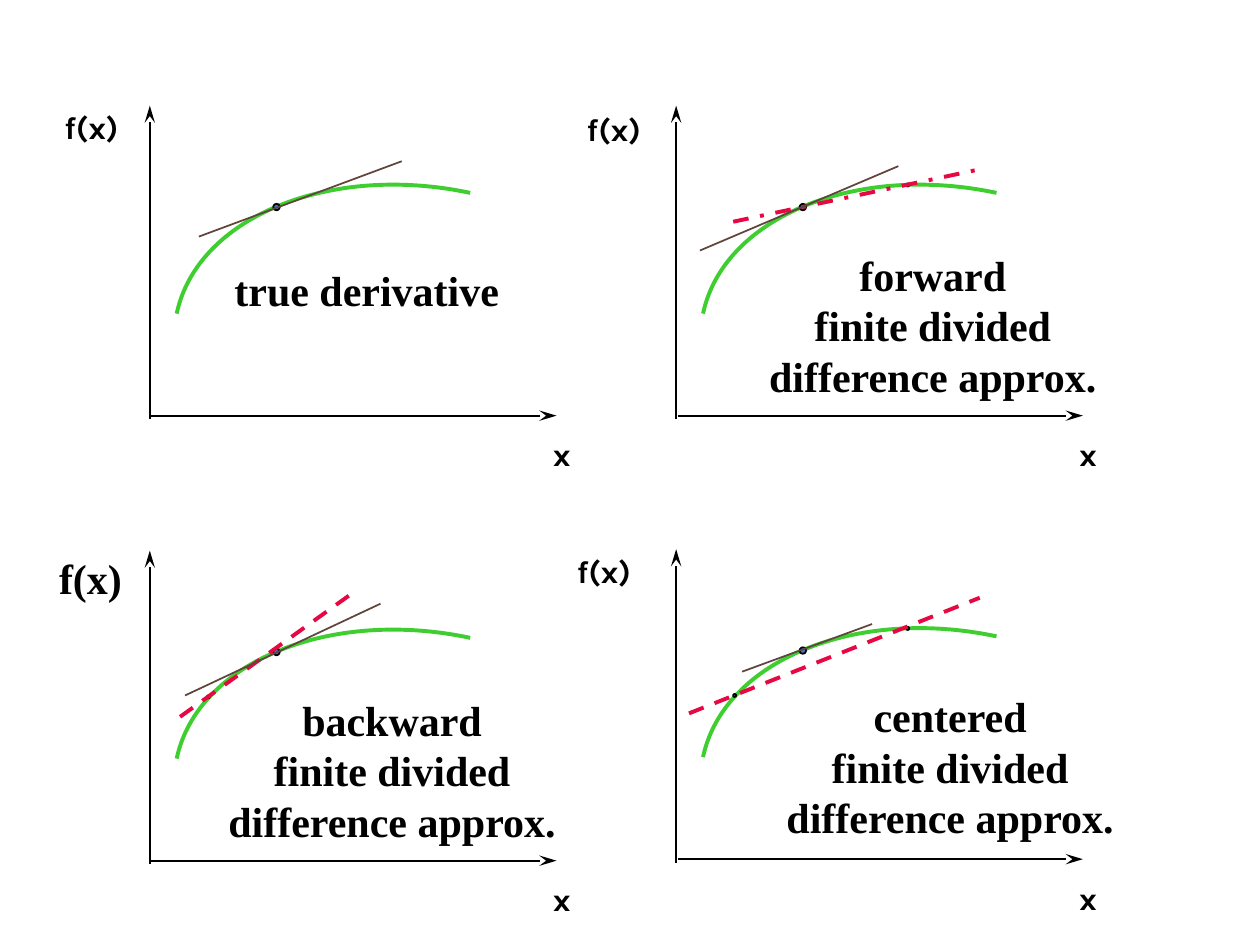
from dataclasses import dataclass

from lxml.etree import SubElement
from pptx import Presentation
from pptx.dml.color import RGBColor
from pptx.enum.dml import MSO_LINE
from pptx.enum.shapes import MSO_CONNECTOR, MSO_SHAPE
from pptx.enum.text import MSO_AUTO_SIZE, PP_ALIGN
from pptx.oxml.ns import qn
from pptx.util import Cm, Pt

BLACK = RGBColor(0x00, 0x00, 0x00)
GREEN = RGBColor(0x3F, 0xCE, 0x30)
BLUE = RGBColor(0x44, 0x72, 0xC4)
BROWN = RGBColor(0x60, 0x45, 0x3C)
RED = RGBColor(0xE7, 0x07, 0x42)

SANS = "Karla"
SERIF = "Times New Roman"
ARC_HANDLE = 0.55


def write_text(frame, text, *, font=SERIF, size=24, color=BLACK, bold=True,
               align=PP_ALIGN.CENTER):
    frame.text = text
    for paragraph in frame.paragraphs:
        paragraph.alignment = align
        paragraph.font.name = font
        paragraph.font.size = Pt(size)
        paragraph.font.bold = bold
        paragraph.font.color.rgb = color


def bend(freeform):
    """Turn the three straight segments of a freeform into one Bézier curve."""
    outline = next(freeform._element.iter(qn("a:path")))
    segments = outline.findall(qn("a:lnTo"))
    bezier = SubElement(outline, qn("a:cubicBezTo"))
    for segment in segments:
        bezier.append(segment[0])
        outline.remove(segment)


@dataclass
class Plotter:
    """Draws on a slide, in centimetres from the top of the y axis of a panel."""
    slide: object
    left: float = 0
    top: float = 0

    def at(self, x, y):
        return Cm(self.left + x), Cm(self.top + y)

    def line(self, start, end, color=BLACK, width=1, dash=None, arrow=False):
        connector = self.slide.shapes.add_connector(
            MSO_CONNECTOR.STRAIGHT, *self.at(*start), *self.at(*end))
        connector.line.color.rgb = color
        connector.line.width = Pt(width)
        if dash is not None:
            connector.line.dash_style = dash
        properties = connector._element.spPr
        if arrow:
            SubElement(properties.find(qn("a:ln")), qn("a:tailEnd"),
                       type="stealth", w="med", len="lg")
        SubElement(properties, qn("a:effectLst"))

    def dot(self, x, y, size):
        dot = self.slide.shapes.add_shape(
            MSO_SHAPE.OVAL, *self.at(x, y), Cm(size), Cm(size))
        dot.shadow.inherit = False
        dot.fill.solid()
        dot.fill.fore_color.rgb = BLUE
        dot.line.color.rgb = BLACK
        dot.line.width = Pt(1)

    def curve(self, x, y, width, height):
        """Draw a quarter of an ellipse, turned to rise from the left."""
        corners = [(1, 0), (1, ARC_HANDLE), (ARC_HANDLE, 1), (0, 1)]
        points = [self.at(x + width * u, y + height * v) for u, v in corners]
        builder = self.slide.shapes.build_freeform(*points[0])
        builder.add_line_segments(points[1:], close=False)
        arc = builder.convert_to_shape()
        bend(arc)
        arc.rotation = 192
        arc.shadow.inherit = False
        arc.fill.background()
        arc.line.color.rgb = GREEN
        arc.line.width = Pt(2.25)

    def text(self, x, y, width, height, text, **style):
        box = self.slide.shapes.add_textbox(*self.at(x, y), Cm(width), Cm(height))
        box.text_frame.word_wrap = False
        box.text_frame.auto_size = MSO_AUTO_SIZE.SHAPE_TO_FIT_TEXT
        write_text(box.text_frame, text, **style)

    def panel(self, origin, label, caption, tangent, secant=None, dash=None,
              neighbours=(), label_style=None):
        self.left, self.top = origin
        self.line((0, 6.32), (0, 0), arrow=True)
        self.line((0.03, 6.25), (8.2, 6.25), arrow=True)
        self.text(*label, "f(x)", **(label_style or AXIS_STYLE))
        self.text(7.85, 6.52, 0.91, 1.02, "x", **AXIS_STYLE)
        self.curve(0.86, 1.17, 5.28, 3.61)
        self.dot(2.49, 1.98, 0.13)
        for neighbour in neighbours:
            self.dot(*neighbour, 0.06)
        if secant:
            self.line(*secant, color=RED, width=2.25, dash=dash)
        self.line(*tangent, color=BROWN)
        self.text(*caption)


AXIS_STYLE = {"font": SANS, "size": 18}
APPROXIMATION = "\nfinite divided\ndifference approx."
LEFT, RIGHT = 3.02, 13.63
NEXT_POINT = (4.64, 1.57)
PREVIOUS_POINT = (1.15, 2.92)

PANELS = [
    dict(origin=(LEFT, 2.13), label=(-2.04, -0.08, 1.73, 1.02),
         caption=(1.43, 3.07, 5.89, 1.3, "true derivative"),
         tangent=((0.99, 2.64), (5.08, 1.12))),
    dict(origin=(RIGHT, 2.13), label=(-2.12, -0.03, 1.73, 1.02),
         caption=(1.58, 2.77, 7.19, 3.33, "forward" + APPROXIMATION),
         tangent=((0.48, 2.92), (4.48, 1.22)),
         secant=((1.15, 2.34), (6.18, 1.27)), dash=MSO_LINE.DASH_DOT,
         neighbours=[NEXT_POINT]),
    dict(origin=(LEFT, 11.1), label=(-2.17, -0.08, 1.95, 1.3),
         caption=(1.29, 2.77, 7.19, 3.33, "backward" + APPROXIMATION),
         tangent=((0.71, 2.92), (4.65, 1.07)),
         secant=((0.61, 3.35), (4.01, 0.91)), dash=MSO_LINE.DASH,
         neighbours=[PREVIOUS_POINT], label_style={"font": SERIF, "size": 24}),
    dict(origin=(RIGHT, 11.07), label=(-2.32, -0.07, 1.73, 1.02),
         caption=(1.93, 2.73, 7.19, 3.33, "centered" + APPROXIMATION),
         tangent=((1.33, 2.47), (3.95, 1.51)),
         secant=((0.26, 3.31), (6.12, 0.98)), dash=MSO_LINE.DASH,
         neighbours=[NEXT_POINT, PREVIOUS_POINT]),
]


def main():
    presentation = Presentation()
    presentation.slide_width = Cm(25.4)
    presentation.slide_height = Cm(19.05)
    blank_layout = presentation.slide_layouts[6]
    plotter = Plotter(presentation.slides.add_slide(blank_layout))
    for panel in PANELS:
        plotter.panel(**panel)
    presentation.save("out.pptx")


if __name__ == "__main__":
    main()
